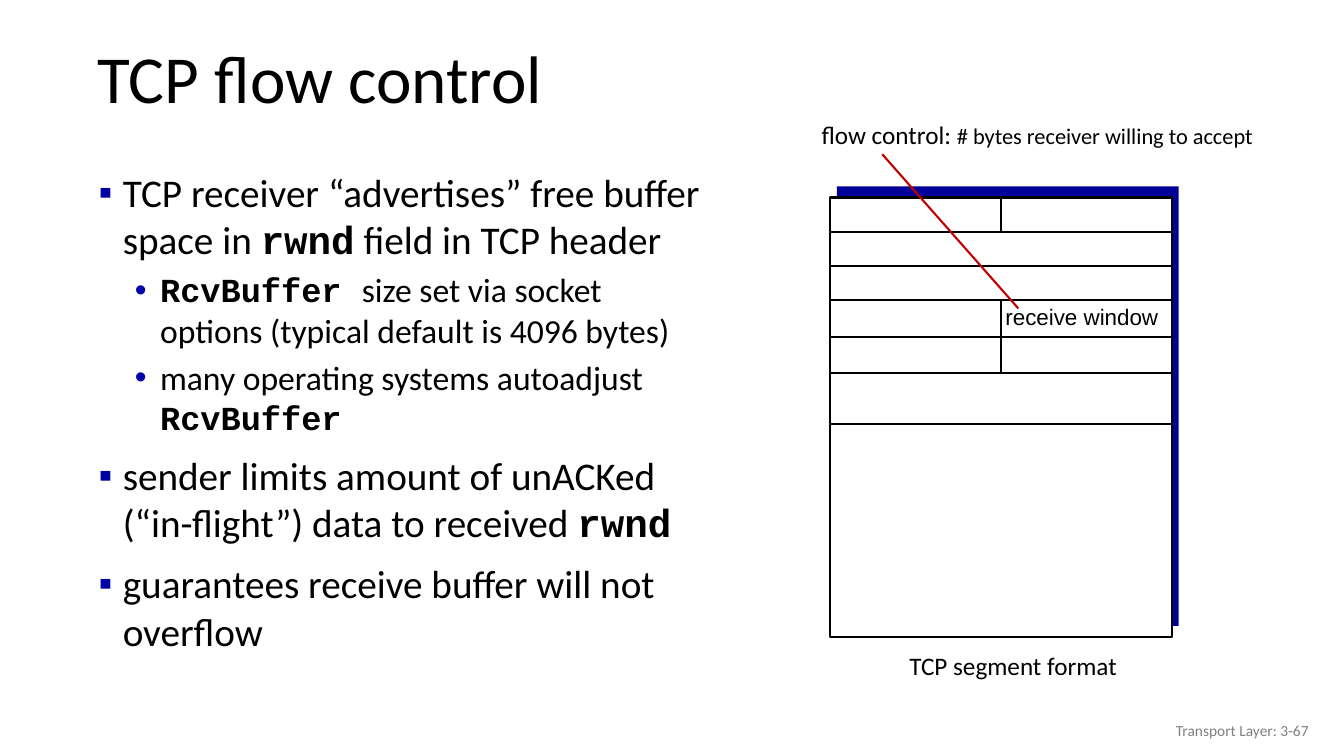
import itertools

import pptx
import pptx.dml.color
import pptx.enum.shapes
import pptx.enum.text
import pptx.util
from lxml import etree
from pptx.oxml.ns import qn

ALIGN = pptx.enum.text.PP_ALIGN
ANCHOR = pptx.enum.text.MSO_ANCHOR
BLACK, WHITE, NAVY, RED, GRAY = "000000", "FFFFFF", "000099", "C00000", "808080"
SANS = {"name": "Calibri", "bold": False}
CODE = {"name": "Courier New", "bold": True}
BULLETS = [
    {"mark": "▪", "color": "0000A3", "size": 28, "left": 0.39, "hang": 0.24, "before": 10},
    {"mark": "•", "color": "0000A8", "size": 24, "left": 0.76, "hang": 0.25, "before": 5},
]
POINTS = [
    (0, [("TCP receiver “advertises” free buffer space in ", SANS), ("rwnd", CODE),
         (" field in TCP header", SANS)]),
    (1, [("RcvBuffer ", CODE),
         ("size set via socket options (typical default is 4096 bytes)", SANS)]),
    (1, [("many operating systems autoadjust ", SANS), ("RcvBuffer", CODE)]),
    (0, [("sender limits amount of unACKed (“in-flight”) data to received ", SANS),
         ("rwnd", CODE)]),
    (0, [("guarantees receive buffer will not overflow", SANS)]),
]
HEADER_ROWS = [0.34, 0.34, 0.34, 0.36, 0.36, 0.51]


def inches(*lengths):
    return [pptx.util.Inches(length) for length in lengths]


def rgb(color):
    return pptx.dml.color.RGBColor.from_string(color)


def set_values(target, values):
    for name, value in values.items():
        setattr(target, name, value)


def add_run(paragraph, text, size, color=BLACK, **font):
    run = paragraph.add_run()
    run.text = text
    set_values(run.font, {"size": pptx.util.Pt(size), **SANS, **font})
    run.font.color.rgb = rgb(color)


def add_text_frame(slide, box, **values):
    frame = slide.shapes.add_textbox(*inches(*box)).text_frame
    set_values(frame, {"word_wrap": True, **values})
    return frame


def add_label(slide, box, runs, frame_values={}, **paragraph_values):
    """Add a one-paragraph text box from (text, size, font values) runs."""
    paragraph = add_text_frame(slide, box, **frame_values).paragraphs[0]
    set_values(paragraph, paragraph_values)
    for text, size, font in runs:
        add_run(paragraph, text, size, **font)


def add_bullet(paragraph, style):
    properties = paragraph._p.get_or_add_pPr()
    left, hang = inches(style["left"], style["hang"])
    properties.set("marL", str(left))
    properties.set("indent", str(-hang))
    color = etree.SubElement(properties, qn("a:buClr"))
    etree.SubElement(color, qn("a:srgbClr"), val=style["color"])
    etree.SubElement(properties, qn("a:buFont"), typeface="Arial")
    etree.SubElement(properties, qn("a:buChar"), char=style["mark"])


def add_points(slide, box):
    frame = add_text_frame(slide, box)
    for index, (level, runs) in enumerate(POINTS):
        paragraph = frame.add_paragraph() if index else frame.paragraphs[0]
        style = BULLETS[level]
        add_bullet(paragraph, style)
        before = style["before"] if index else 0
        set_values(paragraph, {"level": level, "space_before": pptx.util.Pt(before)})
        for text, font in runs:
            add_run(paragraph, text, style["size"], **font)


def add_rectangle(slide, box, fill, line=None):
    shape = slide.shapes.add_shape(
        pptx.enum.shapes.MSO_SHAPE.RECTANGLE, *inches(*box))
    shape.shadow.inherit = False
    shape.fill.solid()
    shape.fill.fore_color.rgb = rgb(fill)
    if line:
        shape.line.color.rgb = rgb(line)
        shape.line.width = pptx.util.Pt(1.5)
    else:
        shape.line.fill.background()
    return shape


def add_line(slide, start, end, color=BLACK):
    connector = slide.shapes.add_connector(
        pptx.enum.shapes.MSO_CONNECTOR.STRAIGHT, *inches(*start, *end))
    connector.line.color.rgb = rgb(color)
    connector.line.width = pptx.util.Pt(1.5)
    etree.SubElement(connector._element.spPr, qn("a:effectLst"))
    return connector


def add_segment(slide, box):
    """Draw the shadowed TCP segment with its header rows and split fields."""
    left, top, width, height = box
    right, middle = left + width, left + width / 2
    add_rectangle(slide, (left + 0.07, top - 0.11, width, height), NAVY)
    segment = add_rectangle(slide, box, WHITE, BLACK)
    edges = list(itertools.accumulate(HEADER_ROWS, initial=top))
    for edge in edges[1:]:
        add_line(slide, (left, edge), (right, edge))
    ports = add_line(slide, (middle, top), (middle, edges[1]))
    ports.begin_connect(segment, 0)
    add_line(slide, (middle, edges[3]), (middle, edges[5]))
    add_label(slide, (middle - 0.06, edges[3] - 0.02, 1.73, 0.37),
              [("receive window", 16, {"name": "Arial"})],
              {"word_wrap": False}, alignment=ALIGN.CENTER)


def add_diagram(slide, box):
    left, top, width, height = box
    add_label(slide, (left, top, width, 0.37),
              [("flow control: ", 18, {}),
               ("# bytes receiver willing to accept", 16, {})], line_spacing=0.9)
    add_segment(slide, (left + 0.18, top + 0.79, 3.39, 4.36))
    add_line(slide, (left + 2.05, top + 1.89), (left + 0.7, top + 0.36), RED)
    add_label(slide, (left + 0.87, top + height - 0.37, 2.53, 0.37),
              [("TCP segment format", 18, {})], line_spacing=0.9)


def main():
    presentation = pptx.Presentation()
    width, height = inches(13.33, 7.5)
    set_values(presentation, {"slide_width": width, "slide_height": height})
    slide = presentation.slides.add_slide(presentation.slide_layouts[6])
    middle = {"vertical_anchor": ANCHOR.MIDDLE}
    add_label(slide, (0.87, 0.32, 12.46, 0.98), [("TCP flow control", 48, {})],
              middle, line_spacing=0.9)
    add_points(slide, (0.73, 1.62, 6.37, 5.37))
    add_diagram(slide, (8.05, 1.17, 4.76, 5.64))
    add_label(slide, (10.08, 7.05, 3, 0.4),
              [("Transport Layer: 3-67", 11, {"color": GRAY})],
              middle, alignment=ALIGN.RIGHT)
    presentation.save("out.pptx")


if __name__ == "__main__":
    main()
